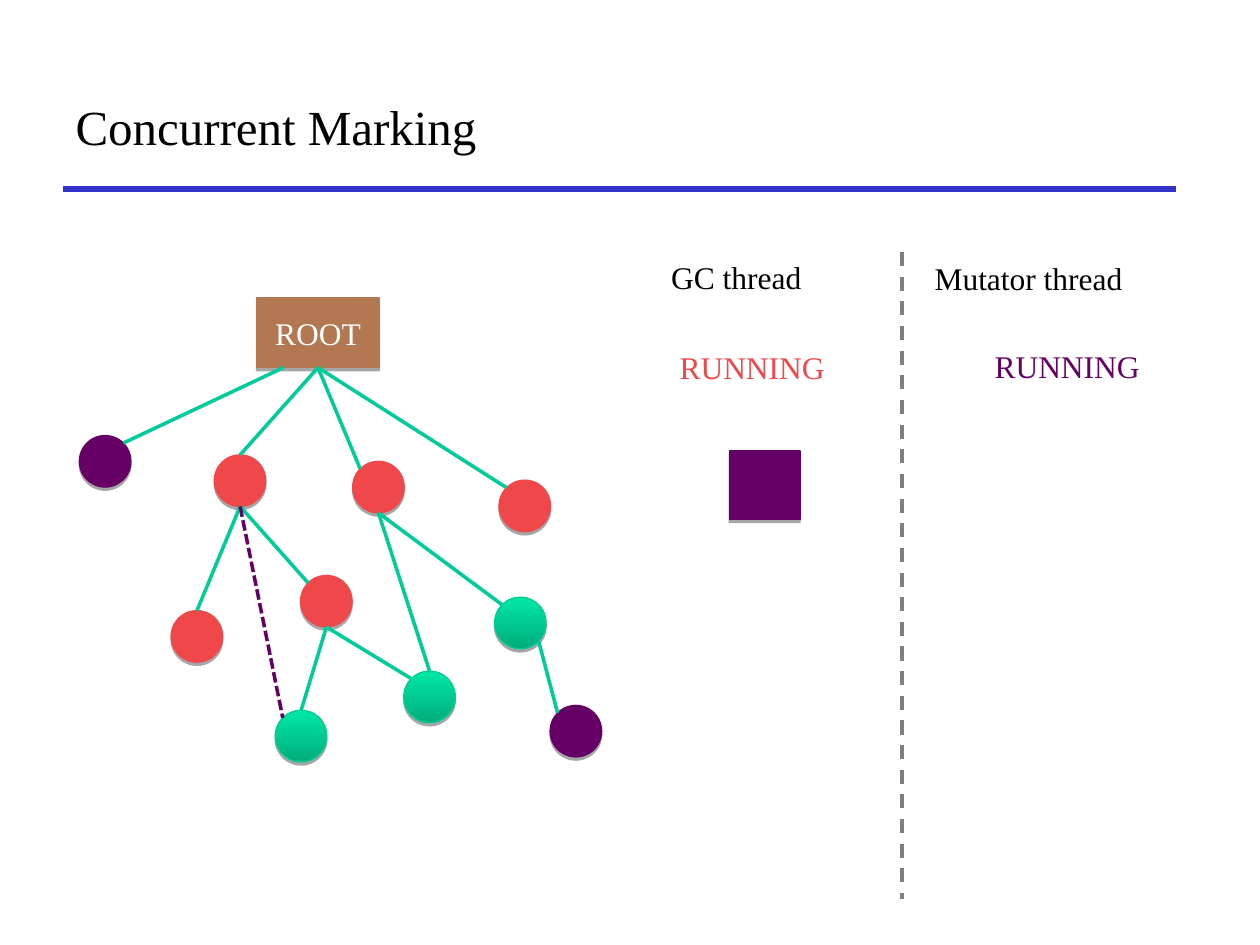
from lxml import etree
from pptx import Presentation
from pptx.dml.color import RGBColor
from pptx.enum.dml import MSO_LINE
from pptx.enum.shapes import MSO_CONNECTOR, MSO_SHAPE
from pptx.enum.text import MSO_ANCHOR, MSO_AUTO_SIZE, PP_ALIGN
from pptx.oxml import parse_xml
from pptx.oxml.ns import nsdecls, qn
from pptx.util import Cm, Pt

RECT, OVAL = MSO_SHAPE.RECTANGLE, MSO_SHAPE.OVAL
STRAIGHT = MSO_CONNECTOR.STRAIGHT
DASH, DOTS = MSO_LINE.DASH, MSO_LINE.SQUARE_DOT
MIDDLE, FIT = MSO_ANCHOR.MIDDLE, MSO_AUTO_SIZE.SHAPE_TO_FIT_TEXT
LEFT, CENTER = PP_ALIGN.LEFT, PP_ALIGN.CENTER
FONT = "Times New Roman"

HEX = {
    "black": "000000", "white": "FFFFFF", "blue": "3333CC", "brown": "B37851",
    "red": "F0474B", "purple": "660066", "green": "00CC98", "edge": "00CC99",
    "dark": "00AD7B", "light": "00E9A6", "gray": "7F7F7F",
}

TITLE = "Concurrent Marking"
ROOT = (5.17, 6.01, 2.48, 1.4)
BLOCK = (14.7, 9.09, 1.43, 1.38)
RADIUS = 0.52

NODES = {
    "a": (2.12, 9.3, "purple"),
    "b": (4.84, 9.69, "red"),
    "c": (7.63, 9.82, "red"),
    "d": (10.58, 10.2, "red"),
    "e": (3.97, 12.83, "red"),
    "f": (6.58, 12.12, "red"),
    "g": (10.49, 12.56, "green"),
    "h": (6.07, 14.84, "green"),
    "i": (8.66, 14.05, "green"),
    "j": (11.61, 14.74, "purple"),
}

PORTS = {"top": (0, -1), "base": (0, 1), "nw": (-0.71, -0.71),
         "ne": (0.71, -0.71), "se": (0.71, 0.71)}

EDGES = [
    ("root", "base", "b", "top"), ("root", "base", "c", "nw"),
    ("b", "base", "e", "top"), ("b", "base", "f", "nw"),
    ("f", "base", "h", "top"), ("f", "base", "i", "nw"),
    ("c", "base", "i", "top"), ("c", "base", "g", "nw"),
    ("root", "base", "d", "nw"), ("g", "se", "j", "nw"),
    ("root", "left", "a", "ne"),
]
CUT = ("b", "base", "h", "nw")

LABELS = [
    ("GC thread", 13.28, 5.08, 3.53, "black"),
    ("Mutator thread", 18.59, 5.1, 5.16, "black"),
    ("RUNNING", 19.8, 6.87, 3.5, "purple"),
    ("RUNNING", 13.45, 6.89, 3.5, "red"),
]


def tint(name):
    return RGBColor.from_string(HEX[name])


def write(frame, text, size, color, align=LEFT):
    frame.text = text
    par = frame.paragraphs[0]
    par.alignment = align
    font = par.runs[0].font
    font.name, font.size = FONT, Pt(size)
    font.color.rgb = tint(color)


def cast(shape):
    shape.shadow.inherit = False
    effects = shape._element.spPr.find(qn("a:effectLst"))
    effects.append(parse_xml(
        f'<a:outerShdw {nsdecls("a")} blurRad="0" dist="23000" dir="5400000" '
        'rotWithShape="0"><a:srgbClr val="000000"><a:alpha val="35000"/>'
        '</a:srgbClr></a:outerShdw>'))


def draw(slide, kind, box, color):
    shape = slide.shapes.add_shape(kind, *map(Cm, box))
    if color == "green":
        shape.fill.gradient()
        shape.fill.gradient_angle = 90
        for stop, shade in zip(shape.fill.gradient_stops, ("dark", "light")):
            stop.color.rgb = tint(shade)
    else:
        shape.fill.solid()
        shape.fill.fore_color.rgb = tint(color)
    shape.line.color.rgb = tint(color)
    shape.line.width = Pt(0.75)
    cast(shape)
    return shape


def link(slide, start, end, color, width=2, dash=None):
    line = slide.shapes.add_connector(STRAIGHT, *map(Cm, (*start, *end)))
    line.line.color.rgb = tint(color)
    line.line.width = Pt(width)
    if dash:
        line.line.dash_style = dash
    etree.SubElement(line._element.spPr, qn("a:effectLst"))


def port(name, side):
    if name == "root":
        x, y, wide, high = ROOT
        return x + wide * (0.22 if side == "left" else 0.5), y + high
    x, y, _ = NODES[name]
    across, down = PORTS[side]
    return x + across * RADIUS, y + down * RADIUS


def join(slide, edge, color, dash=None):
    link(slide, port(*edge[:2]), port(*edge[2:]), color, dash=dash)


def main():
    deck = Presentation()
    deck.slide_width, deck.slide_height = Cm(25.4), Cm(19.05)
    slide = deck.slides.add_slide(deck.slide_layouts[5])

    title = slide.shapes.title
    title.left, title.top, title.width, title.height = map(
        Cm, (1.27, 1.27, 22.43, 2.54))
    title.text_frame.vertical_anchor = MIDDLE
    write(title.text_frame, TITLE, 28, "black")
    link(slide, (1.27, 3.81), (23.7, 3.81), "blue", 3)

    root = draw(slide, RECT, ROOT, "brown")
    root.text_frame.vertical_anchor = MIDDLE
    write(root.text_frame, "ROOT", 18, "white", CENTER)
    draw(slide, RECT, BLOCK, "purple")
    for x, y, color in NODES.values():
        box = (x - RADIUS, y - RADIUS, 2 * RADIUS, 2 * RADIUS)
        draw(slide, OVAL, box, color)

    for edge in EDGES:
        join(slide, edge, "edge")
    join(slide, CUT, "purple", DOTS)
    link(slide, (18.18, 5.08), (18.18, 18.13), "gray", dash=DASH)

    for text, x, y, wide, color in LABELS:
        frame = slide.shapes.add_textbox(*map(Cm, (x, y, wide, 1.02))).text_frame
        frame.word_wrap = False
        frame.auto_size = FIT
        write(frame, text, 18, color)

    deck.save("out.pptx")


if __name__ == "__main__":
    main()
